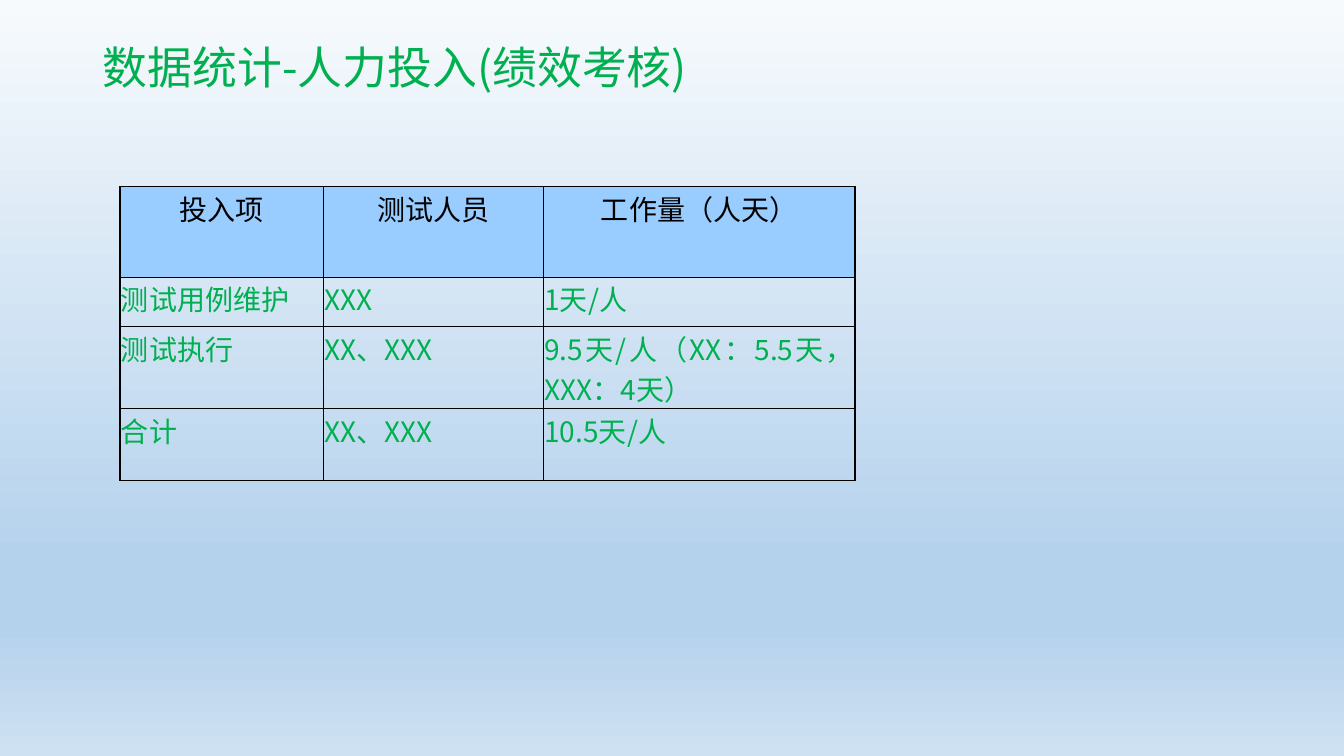
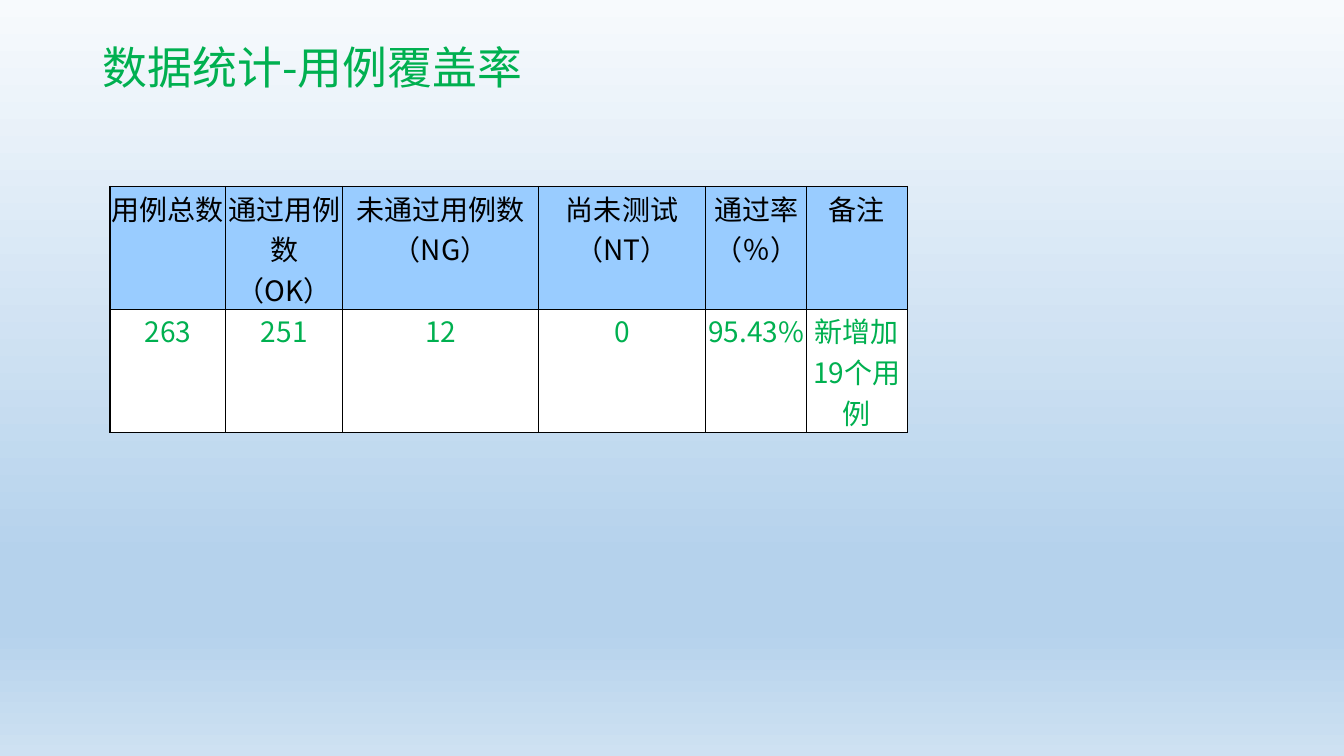
from lxml import etree
from pptx import Presentation
from pptx.dml.color import RGBColor
from pptx.enum.text import MSO_ANCHOR, MSO_AUTO_SIZE, PP_ALIGN
from pptx.oxml.ns import qn
from pptx.util import Inches, Pt

LEFT, CENTER, JUSTIFY = PP_ALIGN.LEFT, PP_ALIGN.CENTER, PP_ALIGN.JUSTIFY
TOP = MSO_ANCHOR.TOP
FONT = "Noto Sans CJK SC"
GREEN = RGBColor(0x00, 0xB0, 0x50)
BLACK = RGBColor(0x00, 0x00, 0x00)
WHITE = RGBColor(0xFF, 0xFF, 0xFF)
HEADER_BLUE = RGBColor(0x99, 0xCC, 0xFF)
PALE = RGBColor(0xF7, 0xFA, 0xFD)
SKY = RGBColor(0xB5, 0xD2, 0xEC)
MIST = RGBColor(0xCE, 0xE1, 0xF2)
BACKGROUND = [(0, PALE), (74, SKY), (83, SKY), (100, MIST)]
TABLE_TOP = 1.85

SLIDES = [
    {
        "title": "数据统计-人力投入(绩效考核)",
        "title_height": 1.45,
        "left": 1.19,
        "cols": [2.02, 2.18, 3.09],
        "rows": [0.9, 0.49, 0.75, 0.71],
        "body_align": JUSTIFY,
        "body_fill": None,
        "cells": [
            ["投入项", "测试人员", "工作量（人天）"],
            ["测试用例维护", "XXX", "1天/人"],
            ["测试执行", "XX、XXX", "9.5天/人（XX：5.5天，XXX：4天）"],
            ["合计", "XX、XXX", "10.5天/人"],
        ],
    },
    {
        "title": "数据统计-用例覆盖率",
        "title_height": 0.71,
        "left": 1.09,
        "cols": [1.15, 1.16, 1.94, 1.66, 1, 1],
        "rows": [0.99, 1.01],
        "body_align": CENTER,
        "body_fill": WHITE,
        "cells": [
            ["用例总数", "通过用例数（OK）", "未通过用例数（NG）",
             "尚未测试（NT）", "通过率（％）", "备注"],
            ["263", "251", "12", "0", "95.43%", "新增加19个用例"],
        ],
    },
]


def set_background(master):
    fill = master.background.fill
    fill.gradient()
    fill.gradient_angle = 270
    stops = next(master.element.cSld.iter(qn("a:gsLst")))
    for stop in list(stops):
        stops.remove(stop)
    for percent, color in BACKGROUND:
        stop = etree.SubElement(stops, qn("a:gs"), pos=str(percent * 1000))
        etree.SubElement(stop, qn("a:srgbClr"), val=str(color))


def style_paragraph(p, size, color, align):
    p.alignment = align
    font = p.font
    font.name, font.size, font.color.rgb = FONT, Pt(size), color
    latin = next(p._p.iter(qn("a:latin")))
    latin.addnext(latin.makeelement(qn("a:ea"), {"typeface": FONT}))


def add_title(s, text, height):
    title = s.shapes.title
    title.left, title.top = Inches(0.92), Inches(0.4)
    title.width, title.height = Inches(11.5), Inches(height)
    tf = title.text_frame
    tf.text = text
    tf.vertical_anchor = TOP
    tf.auto_size = MSO_AUTO_SIZE.NONE
    p = tf.paragraphs[0]
    p.line_spacing = 0.9
    style_paragraph(p, 32, GREEN, LEFT)


def set_borders(cell):
    tcPr = cell._tc.get_or_add_tcPr()
    for side in ("lnL", "lnR", "lnT", "lnB"):
        line = etree.SubElement(tcPr, qn(f"a:{side}"), w=str(Pt(1)))
        fill = etree.SubElement(line, qn("a:solidFill"))
        etree.SubElement(fill, qn("a:srgbClr"), val=str(BLACK))


def format_cell(cell, text, color, align, fill):
    cell.text = text
    cell.margin_left = cell.margin_right = cell.margin_top = Inches(0.01)
    cell.margin_bottom = 0
    cell.vertical_anchor = TOP
    style_paragraph(cell.text_frame.paragraphs[0], 20, color, align)
    set_borders(cell)
    if fill is None:
        cell.fill.background()
    else:
        cell.fill.solid()
        cell.fill.fore_color.rgb = fill


def add_data_table(s, data):
    cols, rows = data["cols"], data["rows"]
    table = s.shapes.add_table(
        len(rows), len(cols), Inches(data["left"]), Inches(TABLE_TOP),
        Inches(sum(cols)), Inches(sum(rows))).table
    table.first_row = table.horz_banding = False
    for column, width in zip(table.columns, cols):
        column.width = Inches(width)
    for row, height in zip(table.rows, rows):
        row.height = Inches(height)
    header = (BLACK, CENTER, HEADER_BLUE)
    body = (GREEN, data["body_align"], data["body_fill"])
    for r, texts in enumerate(data["cells"]):
        for c, text in enumerate(texts):
            format_cell(table.cell(r, c), text, *(body if r else header))


def main():
    prs = Presentation()
    prs.slide_width, prs.slide_height = Inches(13.33), Inches(7.5)
    set_background(prs.slide_master)
    for data in SLIDES:
        s = prs.slides.add_slide(prs.slide_layouts[5])
        add_title(s, data["title"], data["title_height"])
        add_data_table(s, data)
    prs.save("out.pptx")


if __name__ == "__main__":
    main()
